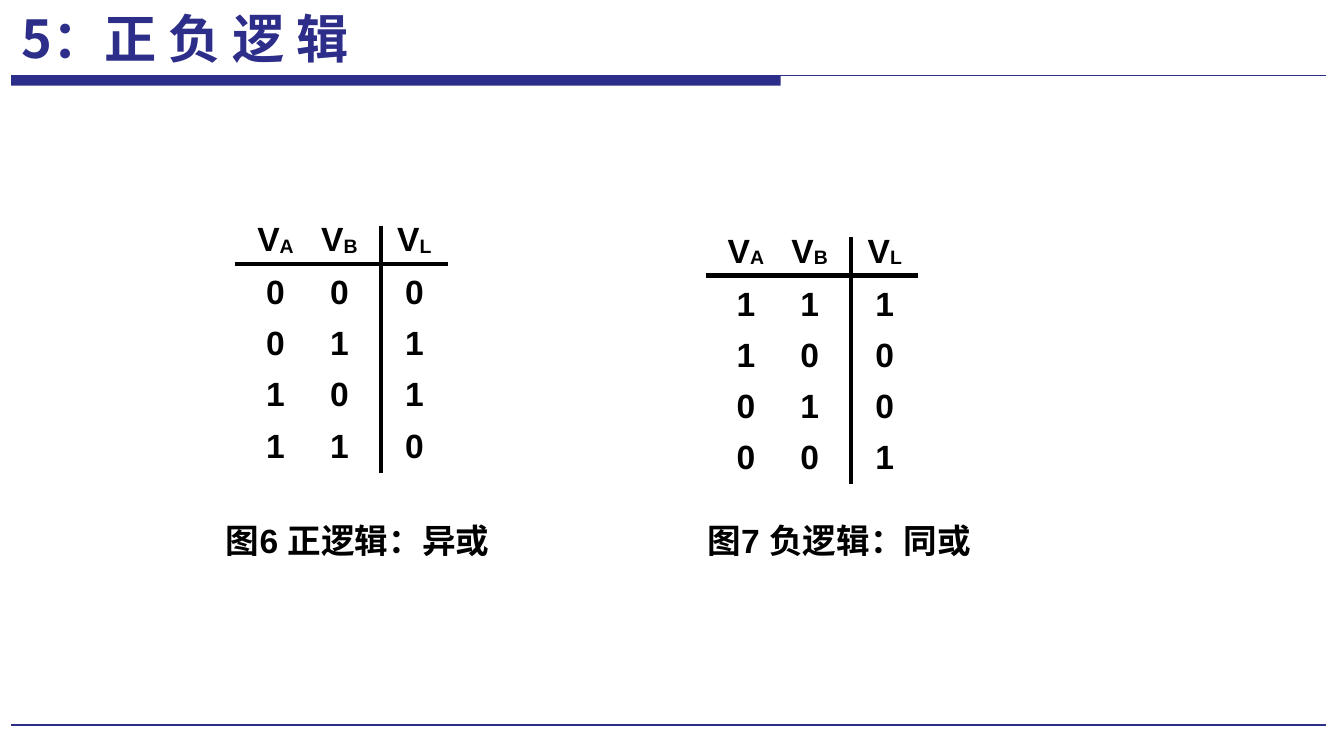
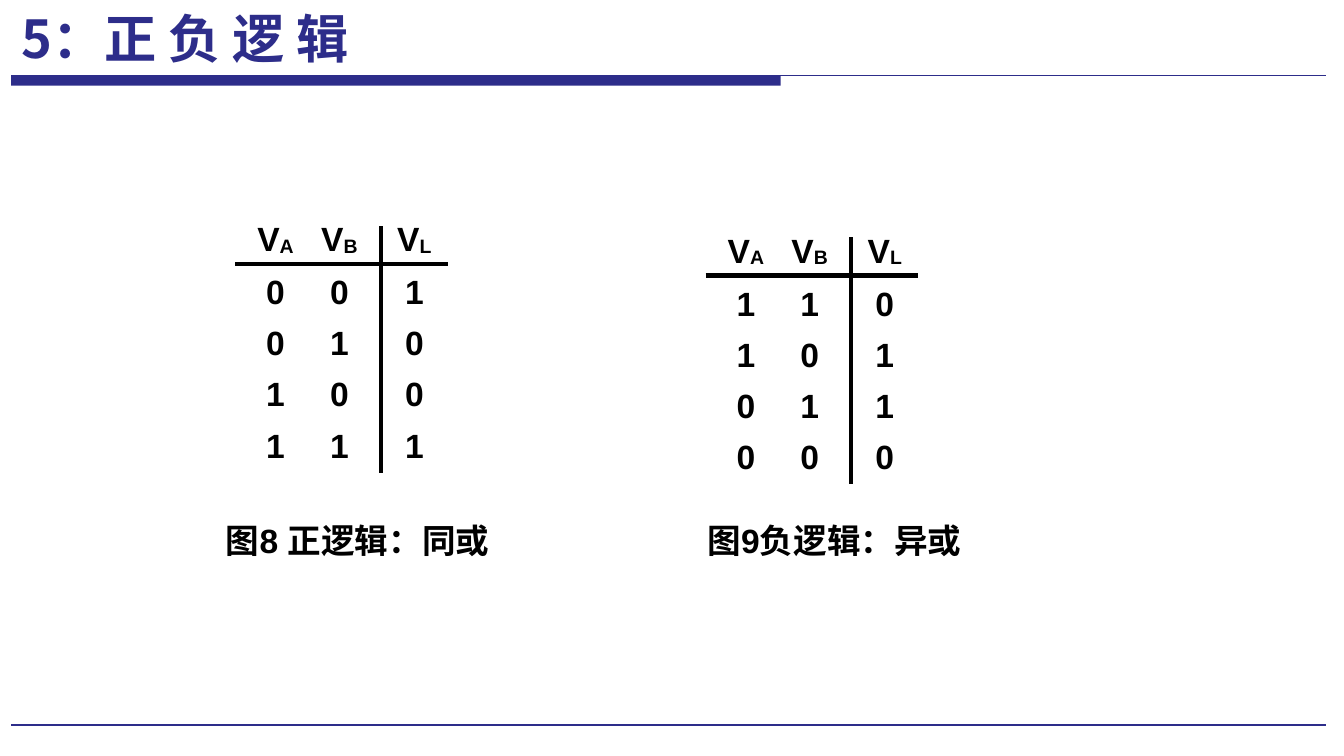
from dataclasses import dataclass

from lxml import etree
from pptx import Presentation
from pptx.dml.color import RGBColor
from pptx.enum.shapes import MSO_CONNECTOR, MSO_SHAPE
from pptx.enum.text import MSO_ANCHOR, MSO_AUTO_SIZE, PP_ALIGN
from pptx.oxml.ns import qn
from pptx.util import Inches, Pt


@dataclass(frozen=True)
class Theme:
    accent: RGBColor = RGBColor(0x2D, 0x2D, 0x8A)
    ink: RGBColor = RGBColor(0, 0, 0)
    latin: str = "Arial"
    chinese: str = "Noto Sans CJK SC"
    title_size: int = 28
    body_size: int = 18
    thin: float = 0.75
    footer: float = 1.25
    thick: float = 2.25


theme = Theme()

presentation = Presentation()
presentation.slide_width = Inches(10)
presentation.slide_height = presentation.slide_width * 9 // 16
blank = presentation.slide_layouts[6]


def grid(*steps):
    """Turn grid steps, 120 to the slide's width, into lengths."""
    return [round(presentation.slide_width * step / 120) for step in steps]


def write(frame, text, subscript="", size=theme.body_size, color=theme.ink,
          font=theme.latin, align=PP_ALIGN.LEFT, wrap=True):
    frame.word_wrap = wrap
    paragraph = frame.paragraphs[0]
    paragraph.alignment = align
    for part, baseline in ((text, 0), (subscript, -5000)):
        if not part:
            continue
        run = paragraph.add_run()
        run.text = part
        run.font.name = font
        run.font.size = Pt(size)
        run.font.bold = True
        run.font.color.rgb = color
        properties = run._r.get_or_add_rPr()
        east_asian = etree.SubElement(properties, qn("a:ea"))
        east_asian.set("typeface", theme.chinese)
        if baseline:
            properties.set("baseline", str(baseline))


# Grid positions
EDGE_LEFT, EDGE_RIGHT = 1, 118.4
BAND_TOP, FOOTER_TOP = 6.75, 64.75
TABLE_LEFT, HEADER_TOP = 21, 18.7
COLUMN_WIDTHS = (6.4, 6.6, 6)
HEADER_HEIGHT, ROW_HEIGHT = 4.9, 4.56
INNER_GAP, TOP_GAP = 0.8, 0.6
TABLE_SHIFTS = ((0, 0), (42, 1))
CAPTION_LEFTS, CAPTION_TOP = (19, 62), 45.8

TITLE = "5：正 负 逻 辑"
INPUTS = "ABL"
SLIDES = [
    [("图6 正逻辑：异或", ("000", "011", "101", "110")),
     ("图7 负逻辑：同或", ("111", "100", "010", "001"))],
    [("图8 正逻辑：同或", ("001", "010", "100", "111")),
     ("图9负逻辑：异或", ("110", "101", "011", "000"))],
]

for truth_tables in SLIDES:
    slide = presentation.slides.add_slide(blank)
    shapes = slide.shapes

    band = shapes.add_shape(MSO_SHAPE.RECTANGLE, *grid(EDGE_LEFT, BAND_TOP, 68.7, 0.9))
    band.shadow.inherit = False
    band.fill.solid()
    band.fill.fore_color.rgb = theme.accent
    band.line.fill.background()

    title = shapes.add_textbox(*grid(0, 0, 33.1, 6.8)).text_frame
    title.auto_size = MSO_AUTO_SIZE.SHAPE_TO_FIT_TEXT
    write(title, TITLE, size=theme.title_size, color=theme.accent,
          font=theme.chinese, align=PP_ALIGN.CENTER, wrap=False)

    rules = [
        (EDGE_LEFT, BAND_TOP, EDGE_RIGHT, BAND_TOP, theme.accent, theme.thin),
        (EDGE_LEFT, FOOTER_TOP, EDGE_RIGHT, FOOTER_TOP, theme.accent, theme.footer),
    ]

    for (caption, rows), (shift_x, shift_y), caption_left in zip(
            truth_tables, TABLE_SHIFTS, CAPTION_LEFTS):
        left, top = TABLE_LEFT + shift_x, HEADER_TOP + shift_y
        width = sum(COLUMN_WIDTHS)
        height = HEADER_HEIGHT + ROW_HEIGHT * len(rows)
        table = shapes.add_table(len(rows) + 1, len(INPUTS),
                                 *grid(left, top, width, height)).table
        table.first_row = table.horz_banding = False
        for column, column_width in zip(table.columns, grid(*COLUMN_WIDTHS)):
            column.width = column_width
        row_heights = [HEADER_HEIGHT] + [ROW_HEIGHT] * len(rows)
        for row, row_height in zip(table.rows, grid(*row_heights)):
            row.height = row_height

        header = [("V", name) for name in INPUTS]
        body = [[(digit, "") for digit in row] for row in rows]
        for row, entries in zip(table.rows, [header] + body):
            for index, (cell, (text, subscript)) in enumerate(zip(row.cells, entries)):
                cell.fill.background()
                cell.vertical_anchor = MSO_ANCHOR.MIDDLE
                cell.margin_left, cell.margin_right, cell.margin_top, cell.margin_bottom = grid(
                    INNER_GAP * (index == 0), INNER_GAP * (index == 1), TOP_GAP, 0)
                write(cell.text_frame, text, subscript, align=PP_ALIGN.CENTER)

        header_bottom = top + HEADER_HEIGHT
        divider = left + sum(COLUMN_WIDTHS[:2])
        rules += [
            (left, header_bottom, left + width, header_bottom, theme.ink, theme.thick),
            (divider, top + 1.5, divider, top + 23.5, theme.ink, theme.thick),
        ]

        label = shapes.add_textbox(*grid(caption_left, CAPTION_TOP, 31, 4.8)).text_frame
        label.auto_size = MSO_AUTO_SIZE.SHAPE_TO_FIT_TEXT
        write(label, caption)

    for *ends, color, weight in rules:
        rule = shapes.add_connector(MSO_CONNECTOR.STRAIGHT, *grid(*ends))
        rule.line.color.rgb = color
        rule.line.width = Pt(weight)
        etree.SubElement(rule._element.spPr, qn("a:effectLst"))

presentation.save("out.pptx")
